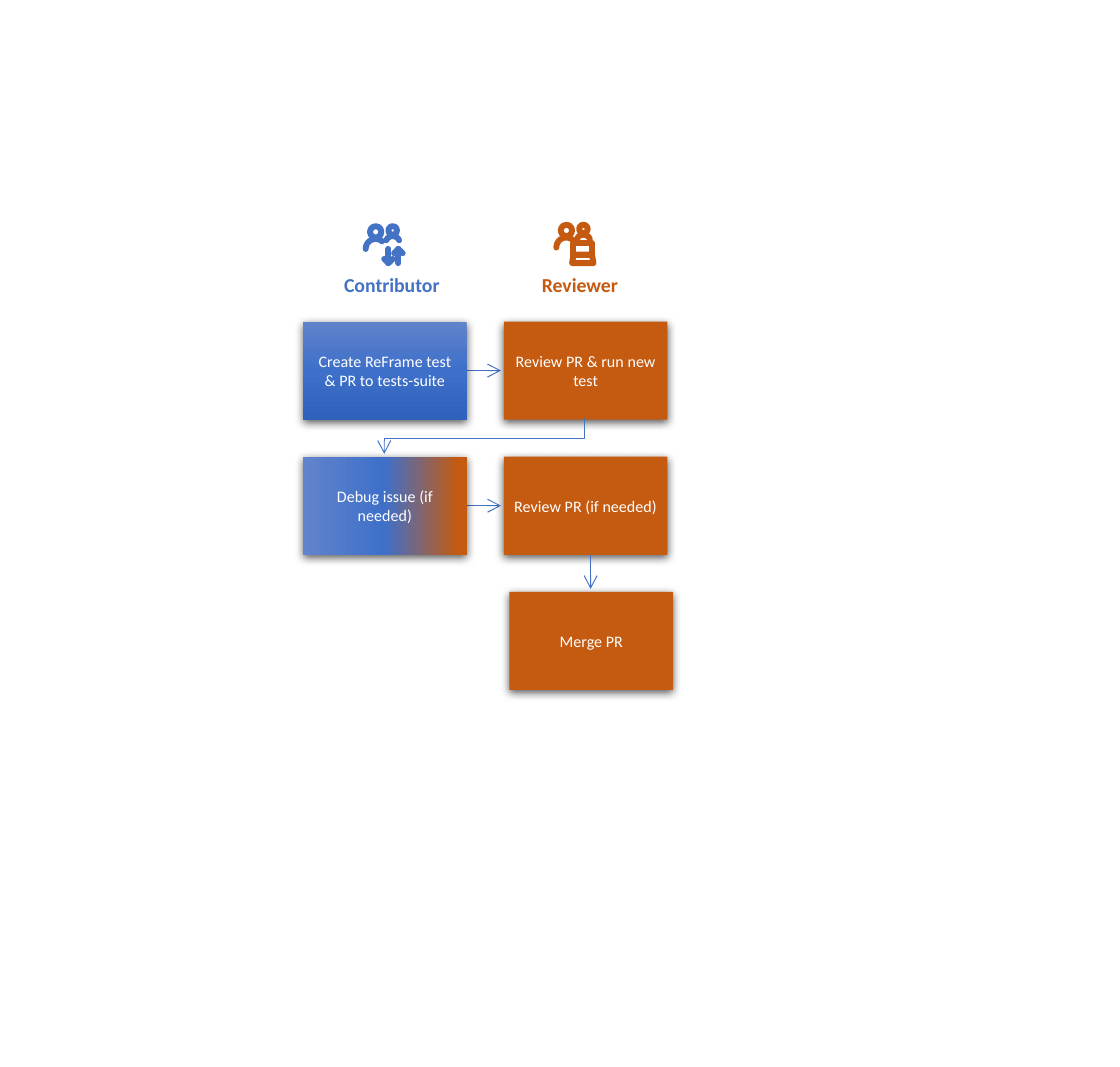
import copy
import math

import pptx
import pptx.dml.color
import pptx.enum.shapes
import pptx.enum.text
import pptx.oxml
import pptx.oxml.ns
import pptx.util
from pptx.util import Inches

BLUE, ORANGE, WHITE = "4472C4", "C55A11", "FFFFFF"
BLUE_STOPS = [(0, "6183CB"), (0.5, "3E70CA"), (1, "3062BB")]
SHARED_STOPS = [(0, "6183CB"), (0.5, "3E70CA"), (0.95, ORANGE)]
LEFT, TOP, COL_STEP, ROW_STEP = 2.13, 2.26, 1.41, 0.95
BOX_W, BOX_H = 1.15, 0.69
MERGE_LEFT = 3.58
SHADOW = (
    '<a:effectLst xmlns:a="http://schemas.openxmlformats.org/drawingml/2006/main">'
    '<a:outerShdw blurRad="57150" dist="19050" dir="5400000" algn="ctr" rotWithShape="0">'
    '<a:srgbClr val="000000"><a:alpha val="63000"/></a:srgbClr>'
    "</a:outerShdw></a:effectLst>"
)


def rgb(value):
    """Return the colour of a hex string."""
    return pptx.dml.color.RGBColor.from_string(value)


def set_all(target, values):
    """Set each attribute named in values on target."""
    for name, value in values.items():
        setattr(target, name, value)


def write(s, text, color, size, bold=False, align=None):
    """Put one formatted paragraph into a shape."""
    p = s.text_frame.paragraphs[0]
    p.alignment = align
    r = p.add_run()
    r.text = text
    set_all(r.font, {"name": "Calibri", "size": pptx.util.Pt(size), "bold": bold})
    r.font.color.rgb = rgb(color)


def stroke(s, color, width):
    """Set the line of a shape or connector."""
    s.line.color.rgb = rgb(color)
    s.line.width = pptx.util.Pt(width)


def add_arrowhead(s):
    """Add an open arrowhead at the end of a line."""
    ln = s._element.spPr.find(pptx.oxml.ns.qn("a:ln"))
    ln.append(pptx.oxml.parse_xml(
        f'<a:tailEnd {pptx.oxml.ns.nsdecls("a")} type="arrow"/>'))


def add_path(sp, points, color, width, close=False):
    """Draw an unfilled outline through points."""
    dots = [(Inches(x), Inches(y)) for x, y in points]
    builder = sp.build_freeform(*dots[0])
    builder.add_line_segments(dots[1:], close=close)
    s = builder.convert_to_shape()
    s.shadow.inherit = False
    s.fill.background()
    stroke(s, color, width)
    return s


def add_arrow(sp, x1, y1, x2, y2):
    """Draw a straight arrow."""
    s = sp.add_connector(pptx.enum.shapes.MSO_CONNECTOR.STRAIGHT,
                         Inches(x1), Inches(y1), Inches(x2), Inches(y2))
    stroke(s, BLUE, 0.5)
    add_arrowhead(s)
    s._element.spPr.append(pptx.oxml.parse_xml(
        f'<a:effectLst {pptx.oxml.ns.nsdecls("a")}/>'))


def fill_gradient(s, stops, angle):
    """Fill a shape with a linear three-stop gradient."""
    s.fill.gradient()
    s.fill.gradient_angle = angle
    stop_list = s._element.spPr.find(".//" + pptx.oxml.ns.qn("a:gsLst"))
    stop_list.append(copy.deepcopy(stop_list[-1]))
    for stop, (position, color) in zip(s.fill.gradient_stops, stops):
        stop.position = position
        stop.color.rgb = rgb(color)


def add_step(sp, x, y, text, stops=None, angle=0):
    """Add a shadowed step box, orange unless gradient stops are given."""
    s = sp.add_shape(pptx.enum.shapes.MSO_SHAPE.RECTANGLE,
                     Inches(x), Inches(y), Inches(BOX_W), Inches(BOX_H))
    if stops:
        fill_gradient(s, stops, angle)
    else:
        s.fill.solid()
        s.fill.fore_color.rgb = rgb(ORANGE)
    s.line.fill.background()
    s._element.spPr.append(pptx.oxml.parse_xml(SHADOW))
    margins = ("margin_left", "margin_top", "margin_right", "margin_bottom")
    set_all(s.text_frame, dict.fromkeys(margins, Inches(0.06)))
    set_all(s.text_frame, {"word_wrap": True,
                           "vertical_anchor": pptx.enum.text.MSO_ANCHOR.MIDDLE})
    write(s, text, WHITE, 8.1, align=pptx.enum.text.PP_ALIGN.CENTER)


def add_role(sp, x, text, color):
    """Add a bold role heading."""
    s = sp.add_textbox(Inches(x), Inches(1.87), Inches(1.73), Inches(0.27))
    s.text_frame.word_wrap = True
    write(s, text, color, 10, bold=True)


def arc(cx, cy, radius, start, end):
    """Return points along a circular arc, in degrees."""
    angles = [math.radians(start + (end - start) * i / 12) for i in range(13)]
    return [(cx + radius * math.cos(a), cy + radius * math.sin(a)) for a in angles]


def add_people(sp, x, y, color, emblem):
    """Draw a two-person icon with an emblem of (points, closed) paths."""
    for dx, size in ((0.04, 0.08), (0.17, 0.06)):
        s = sp.add_shape(pptx.enum.shapes.MSO_SHAPE.OVAL, Inches(x + dx),
                         Inches(y + 0.01), Inches(size), Inches(size))
        s.shadow.inherit = False
        s.fill.background()
        stroke(s, color, 3)
    shoulders = [(arc(0.08, 0.17, 0.07, 180, 310), False),
                 (arc(0.2, 0.13, 0.05, 205, 335), False)]
    for points, close in shoulders + emblem:
        s = add_path(sp, [(x + dx, y + dy) for dx, dy in points], color, 3, close)
        s._element.spPr.find(pptx.oxml.ns.qn("a:ln")).set("cap", "rnd")


def main():
    """Build the review workflow slide."""
    prs = pptx.Presentation()
    set_all(prs, {"slide_width": Inches(7.87), "slide_height": Inches(7.5)})
    sp = prs.slides.add_slide(prs.slide_layouts[6]).shapes

    exchange = [([(0.17, 0.17), (0.17, 0.27)], False),
                ([(0.14, 0.24), (0.17, 0.27), (0.2, 0.24)], False),
                ([(0.24, 0.27), (0.24, 0.17)], False),
                ([(0.21, 0.2), (0.24, 0.17), (0.27, 0.2)], False)]
    laptop = [([(0.13, 0.14), (0.26, 0.14), (0.26, 0.22), (0.13, 0.22)], True),
              ([(0.13, 0.22), (0.26, 0.22), (0.27, 0.28), (0.12, 0.28)], True)]
    add_people(sp, 2.56, 1.58, BLUE, exchange)
    add_people(sp, 3.9, 1.57, ORANGE, laptop)
    add_role(sp, 2.32, "Contributor", BLUE)
    add_role(sp, 3.71, "Reviewer", ORANGE)

    rows = [("Create ReFrame test & PR to tests-suite", BLUE_STOPS, 270,
             "Review PR & run new test"),
            ("Debug issue (if needed)", SHARED_STOPS, 0, "Review PR (if needed)")]
    for i, (task, stops, angle, review) in enumerate(rows):
        y = TOP + i * ROW_STEP
        middle = y + BOX_H / 2
        add_arrow(sp, LEFT + BOX_W, middle, LEFT + COL_STEP - 0.02, middle)
        add_step(sp, LEFT, y, task, stops, angle)
        add_step(sp, LEFT + COL_STEP, y, review)

    elbow = [(4.11, 2.94), (4.11, 3.08), (2.7, 3.08), (2.7, 3.19)]
    add_arrowhead(add_path(sp, elbow, BLUE, 0.5))
    add_arrow(sp, 4.15, 3.9, 4.15, 4.14)
    add_step(sp, MERGE_LEFT, TOP + 2 * ROW_STEP, "Merge PR")
    prs.save("out.pptx")


if __name__ == "__main__":
    main()
